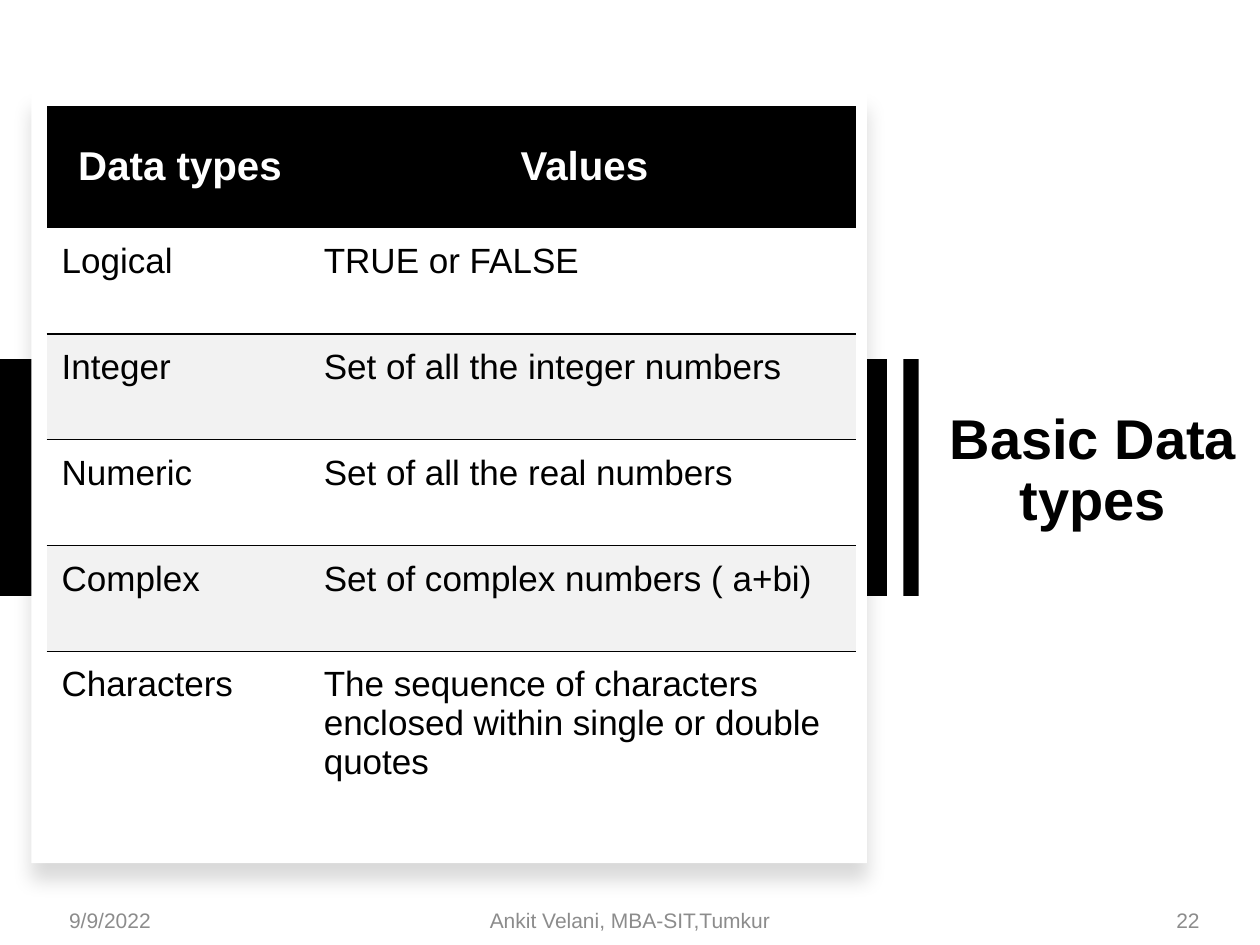
from lxml.etree import SubElement
from pptx import Presentation
from pptx.dml.color import RGBColor
from pptx.enum.shapes import MSO_SHAPE
from pptx.enum.text import MSO_ANCHOR as ANCHOR, PP_ALIGN as ALIGN
from pptx.oxml.ns import qn
from pptx.util import Inches, Pt

BLACK = RGBColor(0x00, 0x00, 0x00)
WHITE = RGBColor(0xFF, 0xFF, 0xFF)
BAND = RGBColor(0xF2, 0xF2, 0xF2)
GREY = RGBColor(0x8C, 0x8C, 0x8C)
NO_STYLE = "{2D5ABB26-0587-4C30-8999-92F81FD0307C}"

TITLE = "Basic Data types"
DATA_TYPES = [
    ("Data types", "Values"),
    ("Logical", "TRUE or FALSE"),
    ("Integer", "Set of all the integer numbers"),
    ("Numeric", "Set of all the real numbers"),
    ("Complex", "Set of complex numbers ( a+bi)"),
    ("Characters", "The sequence of characters enclosed within single or double quotes"),
]
COLUMN_WIDTHS = (2.08, 4.34)
ROW_HEIGHTS = (0.97, 0.84, 0.84, 0.84, 0.84, 1.67)
RULED_ROWS = (1, 3)  # a line runs below these rows
BANDED_ROWS = (2, 4)
FOOTERS = [
    ("9/9/2022", 0.45, 2.49, ALIGN.LEFT),
    ("Ankit Velani, MBA-SIT,Tumkur", 3.31, 3.38, ALIGN.CENTER),
    ("22", 7.06, 2.56, ALIGN.RIGHT),
]
BAR_TOP, BAR_HEIGHT = 2.85, 1.88


def write(frame, text, size, color, align, bold=False):
    paragraph = frame.paragraphs[0]
    paragraph.alignment = align
    run = paragraph.add_run()
    run.text = text
    for attribute, value in {"name": "Arial", "size": Pt(size), "bold": bold}.items():
        setattr(run.font, attribute, value)
    run.font.color.rgb = color
    return paragraph


def add_text(slide, box, *text_format, **options):
    frame = slide.shapes.add_textbox(*map(Inches, box)).text_frame
    frame.word_wrap = True
    frame.vertical_anchor = ANCHOR.MIDDLE
    return write(frame, *text_format, **options)


def add_block(slide, box, color):
    block = slide.shapes.add_shape(MSO_SHAPE.RECTANGLE, *map(Inches, box))
    block.shadow.inherit = False
    block.fill.solid()
    block.fill.fore_color.rgb = color
    block.line.fill.background()
    return block


def add_color(parent, color):
    fill = SubElement(parent, qn("a:solidFill"))
    return SubElement(fill, qn("a:srgbClr"), val=str(color))


def cast_shadow(block):
    effects = block.element.spPr.find(qn("a:effectLst"))
    shadow = SubElement(effects, qn("a:outerShdw"), blurRad=str(Pt(11)),
                        dist=str(Pt(10)), dir="5400000", algn="t", rotWithShape="0")
    color = SubElement(shadow, qn("a:srgbClr"), val=str(BLACK))
    SubElement(color, qn("a:alpha"), val="15000")


def add_border(cell, side):
    line = SubElement(cell._tc.get_or_add_tcPr(), qn(f"a:{side}"), w=str(Pt(1)))
    add_color(line, BLACK)


def fill_cell(cell, text, row):
    header = row == 0
    margins = {"margin_left": 0.12, "margin_top": 0.16 if header else 0.11,
               "margin_right": 0.08, "margin_bottom": 0.16}
    for attribute, value in margins.items():
        setattr(cell, attribute, Inches(value))
    cell.vertical_anchor = ANCHOR.MIDDLE if header else ANCHOR.TOP
    # Borders come before the fill in the cell's XML
    if row - 1 in RULED_ROWS:
        add_border(cell, "lnT")
    if row in RULED_ROWS:
        add_border(cell, "lnB")
    if header or row in BANDED_ROWS:
        cell.fill.solid()
        cell.fill.fore_color.rgb = BLACK if header else BAND
    else:
        cell.fill.background()
    if header:
        write(cell.text_frame, text, 23, WHITE, ALIGN.CENTER, bold=True)
    else:
        write(cell.text_frame, text, 20, BLACK, ALIGN.LEFT)


def add_data_types(slide):
    box = (0.37, 0.84, sum(COLUMN_WIDTHS), sum(ROW_HEIGHTS))
    frame = slide.shapes.add_table(len(DATA_TYPES), len(COLUMN_WIDTHS), *map(Inches, box))
    table = frame.table
    table.horz_banding = False
    table._tbl.tblPr.find(qn("a:tableStyleId")).text = NO_STYLE
    for column, width in zip(table.columns, COLUMN_WIDTHS):
        column.width = Inches(width)
    for row, (height, texts) in enumerate(zip(ROW_HEIGHTS, DATA_TYPES)):
        table.rows[row].height = Inches(height)
        for column, text in enumerate(texts):
            fill_cell(table.cell(row, column), text, row)


def main():
    deck = Presentation()
    deck.slide_width, deck.slide_height = Inches(10), Inches(7.5)
    slide = deck.slides.add_slide(deck.slide_layouts[6])

    title = add_text(slide, (7.35, 2.19, 2.65, 3.11), TITLE, 32, BLACK, ALIGN.CENTER, bold=True)
    title.line_spacing = 0.9
    add_block(slide, (0, BAR_TOP, 7.04, BAR_HEIGHT), BLACK)
    cast_shadow(add_block(slide, (0.25, 0.73, 6.63, 6.12), WHITE))
    add_block(slide, (7.17, BAR_TOP, 0.12, BAR_HEIGHT), BLACK)
    for text, left, width, align in FOOTERS:
        footer = add_text(slide, (left, 7.1, width, 0.4), text, 12, GREY, align)
        footer.space_after = Pt(6)
    add_data_types(slide)
    deck.save("out.pptx")


if __name__ == "__main__":
    main()
